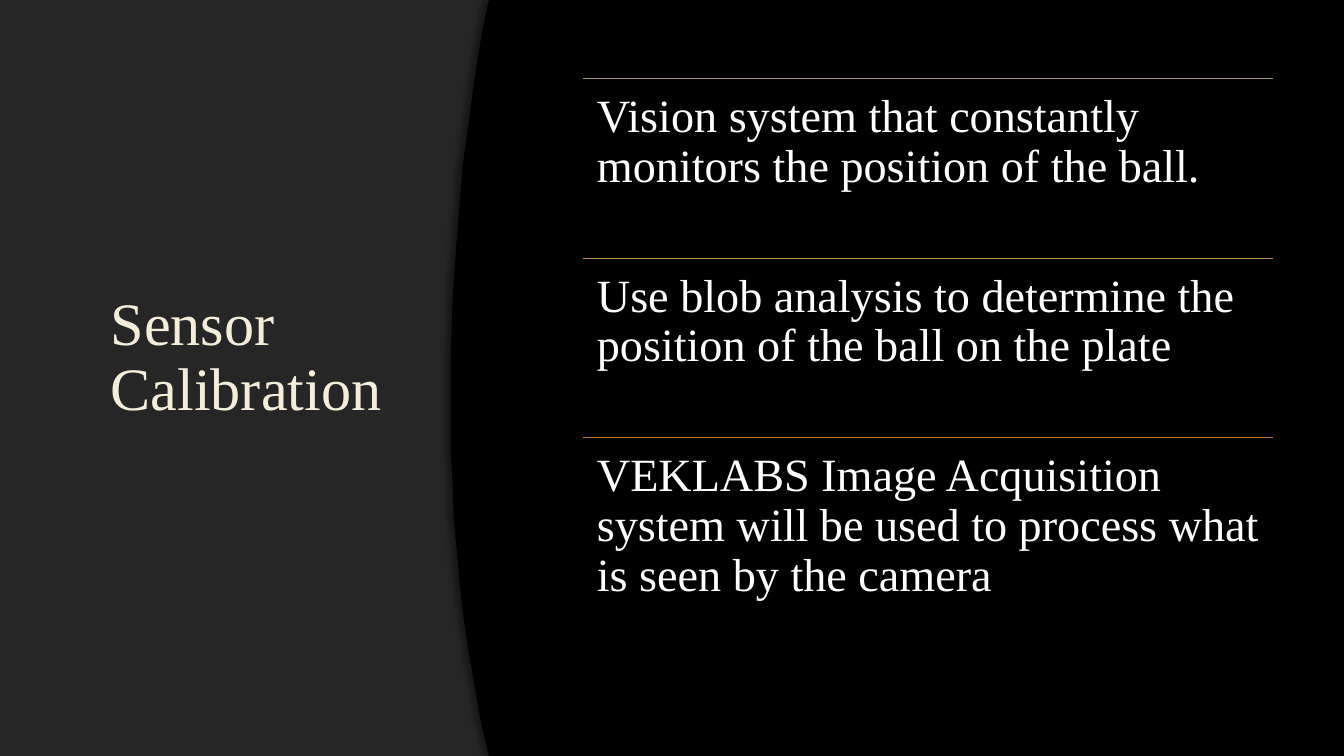
from lxml import etree
from pptx import Presentation
from pptx import util as u
from pptx.dml.color import RGBColor
from pptx.enum import shapes, text
from pptx.oxml import ns

WIDTH, HEIGHT = 13.33, 7.5
FONT = "Times New Roman"
TITLE = "Sensor Calibration"
POINTS = [
    ("Vision system that constantly monitors the position of the ball.", "A19574"),
    ("Use blob analysis to determine the position of the ball on the plate", "B58C4A"),
    ("VEKLABS Image Acquisition system will be used to process what is seen by the camera", "C17529"),
]
# Curved left edge of the black panel, from bottom to top
CURVE = [
    (4.85, 7.5), (4.77, 7.16), (4.71, 6.82), (4.65, 6.48), (4.6, 6.14),
    (4.56, 5.8), (4.53, 5.46), (4.5, 5.13), (4.49, 4.8), (4.47, 4.48),
    (4.47, 4.16), (4.47, 3.84), (4.47, 3.54), (4.48, 3.24), (4.49, 2.95),
    (4.51, 2.66), (4.53, 2.39), (4.55, 2.13), (4.57, 1.88), (4.59, 1.64),
    (4.62, 1.42), (4.65, 1.21), (4.7, 0.83), (4.75, 0.51), (4.79, 0.27),
    (4.85, 0),
]
LIST_LEFT, LIST_TOP, LIST_WIDTH, ROW = 5.78, 0.78, 6.85, 1.78


def color(value):
    return RGBColor.from_string(value)


def fill_shape(shape, value):
    shape.shadow.inherit = False
    shape.fill.solid()
    shape.fill.fore_color.rgb = color(value)
    shape.line.fill.background()


def add_shadow(shape, value, alpha, blur, distance, angle):
    effects = shape._element.spPr.find(ns.qn("a:effectLst"))
    shadow = etree.SubElement(
        effects, ns.qn("a:outerShdw"), blurRad=str(u.Pt(blur)),
        dist=str(u.Pt(distance)), dir=str(angle * 60000), rotWithShape="0")
    tint = etree.SubElement(shadow, ns.qn("a:srgbClr"), val=value)
    etree.SubElement(tint, ns.qn("a:alpha"), val=str(alpha * 1000))


def add_text(slide, content, box, *, size, ink, anchor, inset_x, inset_y):
    shape = slide.shapes.add_textbox(*map(u.Inches, box))
    frame = shape.text_frame
    frame.word_wrap = True
    frame.vertical_anchor = anchor
    frame.margin_left = frame.margin_right = u.Inches(inset_x)
    frame.margin_top = frame.margin_bottom = u.Inches(inset_y)
    paragraph = frame.paragraphs[0]
    paragraph.line_spacing = 0.9
    run = paragraph.add_run()
    run.text = content
    run.font.name = FONT
    run.font.size = u.Pt(size)
    run.font.color.rgb = color(ink)


def add_rule(slide, left, top, width, ink):
    rule = slide.shapes.add_connector(
        shapes.MSO_CONNECTOR.STRAIGHT, u.Inches(left), u.Inches(top),
        u.Inches(left + width), u.Inches(top))
    rule.line.color.rgb = color(ink)
    rule.line.width = u.Pt(0.75)
    etree.SubElement(rule._element.spPr, ns.qn("a:effectLst"))


def main():
    presentation = Presentation()
    presentation.slide_width = u.Inches(WIDTH)
    presentation.slide_height = u.Inches(HEIGHT)
    slide = presentation.slides.add_slide(presentation.slide_layouts[6])
    slide.background.fill.solid()
    slide.background.fill.fore_color.rgb = color("000000")

    # Grey backdrop and title
    backdrop = slide.shapes.add_shape(
        shapes.MSO_SHAPE.RECTANGLE, 0, 0, u.Inches(WIDTH), u.Inches(HEIGHT))
    fill_shape(backdrop, "262626")
    add_text(slide, TITLE, (1, 0.67, 3.06, 5.77), size=43, ink="F4EDD8",
             anchor=text.MSO_ANCHOR.MIDDLE, inset_x=0.1, inset_y=0.05)

    # Black panel with a curved edge
    builder = slide.shapes.build_freeform(u.Inches(WIDTH), 0)
    outline = [(WIDTH, HEIGHT)] + CURVE
    builder.add_line_segments(
        [(u.Inches(x), u.Inches(y)) for x, y in outline], close=True)
    panel = builder.convert_to_shape()
    fill_shape(panel, "000000")
    add_shadow(panel, "000000", alpha=40, blur=4, distance=3, angle=180)

    # Ruled list of points
    for index, (point, ink) in enumerate(POINTS):
        top = LIST_TOP + index * ROW
        add_rule(slide, LIST_LEFT, top, LIST_WIDTH, ink)
        add_text(slide, point, (LIST_LEFT, top, LIST_WIDTH, ROW), size=33,
                 ink="FFFFFF", anchor=text.MSO_ANCHOR.TOP,
                 inset_x=0.14, inset_y=0.14)

    presentation.save("out.pptx")


if __name__ == "__main__":
    main()
